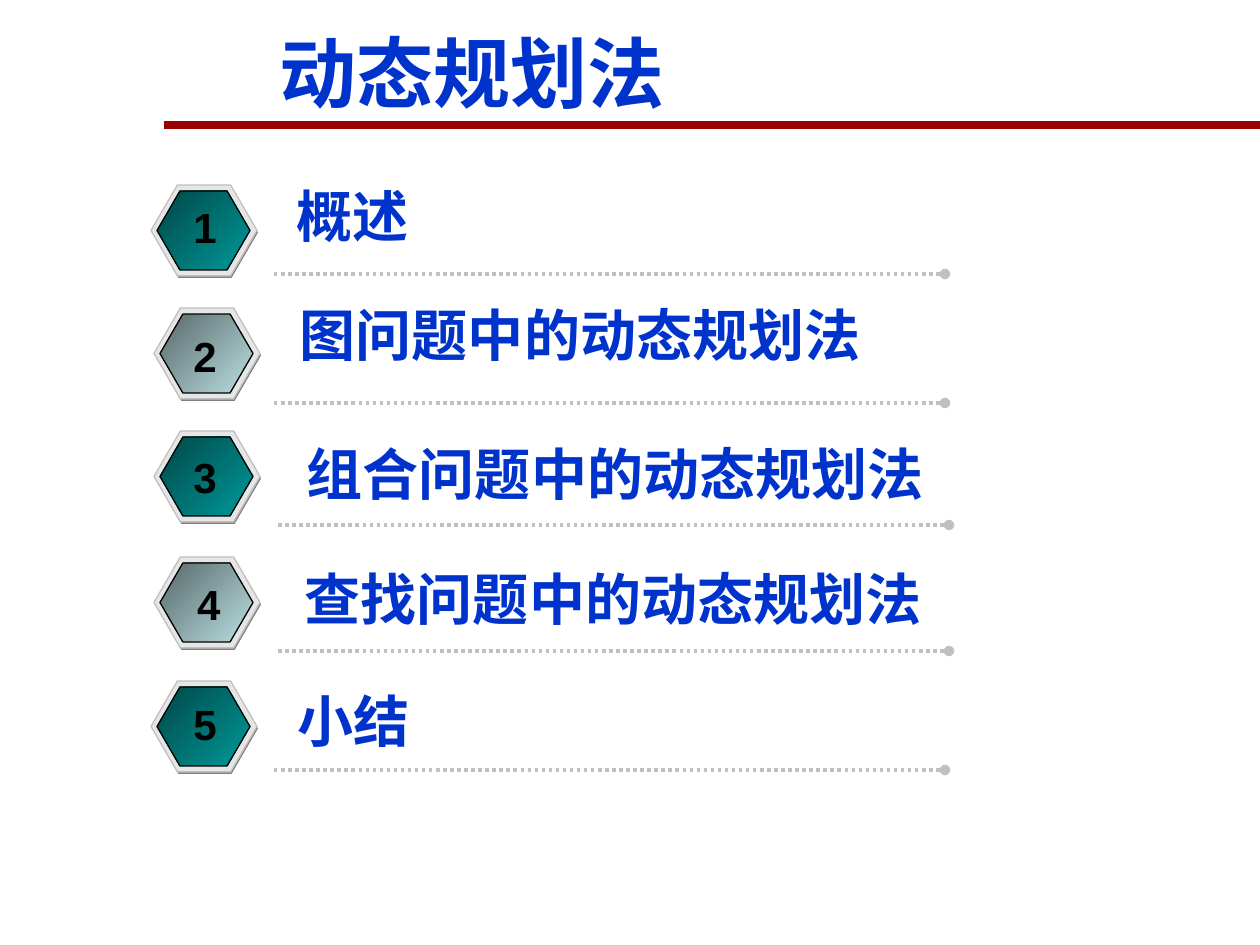
from dataclasses import dataclass

from pptx import Presentation
from pptx.dml.color import RGBColor
from pptx.enum.dml import MSO_LINE
from pptx.enum.shapes import MSO_CONNECTOR, MSO_SHAPE
from pptx.enum.text import MSO_ANCHOR, MSO_AUTO_SIZE, PP_ALIGN
from pptx.oxml.ns import qn
from pptx.util import Pt
from lxml.etree import SubElement

SCALE = 914400 / 126  # EMU in one px


@dataclass(frozen=True)
class Theme:
    blue: str = "0033CC"
    red: str = "990000"
    black: str = "000000"
    shade: str = "808080"
    rim: str = "E6E6E6"
    gray: str = "C0C0C0"
    teal: tuple = ("004747", "009999")
    pale: tuple = ("576869", "BBE0E3")
    latin: str = "Arial"
    asian: str = "Noto Sans CJK SC"
    title: int = 44
    label: int = 32
    digit: int = 24


@dataclass(frozen=True)
class Row:
    text: str
    badge: tuple  # left, top
    digit: tuple  # left, top
    label: tuple  # left, top, width
    rule: tuple   # left, top


THEME = Theme()
ROWS = [
    Row("概述", (151, 185), (181, 195), (284, 175, 564), (274, 274)),
    Row("图问题中的动态规划法", (154, 308), (181, 324), (287, 294, 631), (274, 403)),
    Row("组合问题中的动态规划法", (154, 431), (181, 445), (294, 433, 665), (278, 525)),
    Row("查找问题中的动态规划法", (154, 557), (185, 572), (292, 558, 645), (278, 651)),
    Row("小结", (151, 681), (181, 692), (285, 680, 645), (274, 770)),
]


def px(*nums):
    return [round(n * SCALE) for n in nums]


def color(code):
    return RGBColor.from_string(code)


def write(shape, text, size, hue, font=THEME.latin, align=PP_ALIGN.LEFT,
          pad=(13, 6), wrap=True):
    frame = shape.text_frame
    frame.auto_size = MSO_AUTO_SIZE.NONE
    frame.word_wrap = wrap
    frame.vertical_anchor = MSO_ANCHOR.MIDDLE
    frame.margin_left = frame.margin_right = px(pad[0])[0]
    frame.margin_top = frame.margin_bottom = px(pad[1])[0]
    para = frame.paragraphs[0]
    para.alignment = align
    run = para.add_run()
    run.text = text
    run.font.size = Pt(size)
    run.font.bold = True
    run.font.name = font
    run.font.color.rgb = color(hue)
    SubElement(run.font._element, qn("a:ea"), typeface=THEME.asian)


def draw_line(slide, left, top, width, hue, weight, dotted=False):
    line = slide.shapes.add_connector(
        MSO_CONNECTOR.STRAIGHT, *px(left, top, left + width, top))
    line.line.color.rgb = color(hue)
    line.line.width = Pt(weight)
    if dotted:
        line.line.dash_style = MSO_LINE.ROUND_DOT
        SubElement(line.line._get_or_add_ln(), qn("a:tailEnd"), type="oval")
    SubElement(line._element.spPr, qn("a:effectLst"))


def add_hex(group, box, fill, edge=None):
    part = group.shapes.add_shape(MSO_SHAPE.HEXAGON, *px(*box))
    part.adjustments[0] = 0.29
    part.shadow.inherit = False
    if isinstance(fill, tuple):
        part.fill.gradient()
        part.fill.gradient_angle = 315
        for stop, hue, spot in zip(part.fill.gradient_stops, fill, (0, 1)):
            stop.color.rgb = color(hue)
            stop.position = spot
    else:
        part.fill.solid()
        part.fill.fore_color.rgb = color(fill)
    if edge:
        part.line.color.rgb = color(edge)
        part.line.width = Pt(0.75)
    else:
        part.line.fill.background()


def add_badge(slide, left, top, fill):
    group = slide.shapes.add_group_shape()
    add_hex(group, (left + 1, top + 2, 106, 91), THEME.shade)
    add_hex(group, (left, top, 106, 91), THEME.rim, THEME.gray)
    add_hex(group, (left + 6, top + 6, 93, 79), fill, THEME.black)


def add_head(slide, left, top, width, height):
    # Title over a heavy rule that runs to the slide edge
    title = slide.shapes.title
    title.left, title.top, title.width, title.height = px(
        left, top, width, height)
    write(title, "动态规划法", THEME.title, THEME.blue,
          font=THEME.asian, pad=(0, 0))
    draw_line(slide, 164, top + 99, 1096, THEME.red, 4.5)


def add_row(slide, num, row):
    # Badge with its number
    add_badge(slide, *row.badge, THEME.teal if num % 2 else THEME.pale)
    digit = slide.shapes.add_textbox(*px(*row.digit, 48, 63))
    write(digit, str(num), THEME.digit, THEME.black,
          align=PP_ALIGN.CENTER, wrap=False)
    # Dotted rule and topic
    draw_line(slide, *row.rule, 671, THEME.gray, 2, dotted=True)
    label = slide.shapes.add_textbox(*px(*row.label, 81))
    write(label, row.text, THEME.label, THEME.blue)


def main():
    deck = Presentation()
    deck.slide_width, deck.slide_height = px(1260, 945)
    slide = deck.slides.add_slide(deck.slide_layouts[5])
    add_head(slide, 280, 26, 755, 92)
    for num, row in enumerate(ROWS, 1):
        add_row(slide, num, row)
    deck.save("out.pptx")


if __name__ == "__main__":
    main()
